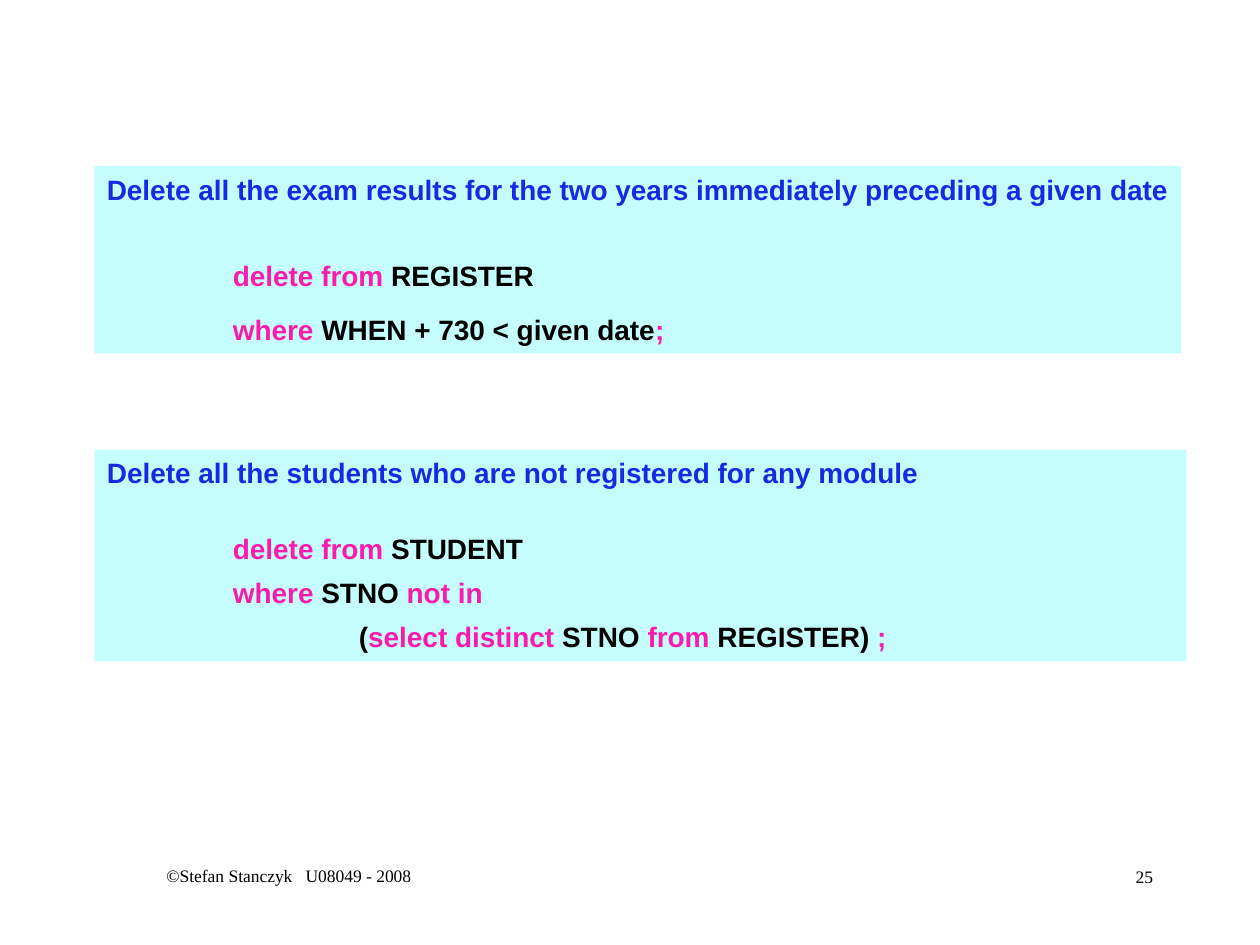
from pptx import Presentation
from pptx.dml.color import RGBColor
from pptx.enum.shapes import MSO_SHAPE
from pptx.enum.text import MSO_ANCHOR, PP_ALIGN
from pptx.util import Pt

RECTANGLE = MSO_SHAPE.RECTANGLE
TOP = MSO_ANCHOR.TOP
LEFT, CENTER, RIGHT = PP_ALIGN.LEFT, PP_ALIGN.CENTER, PP_ALIGN.RIGHT

COLORS = {
    "panel": "C5FDFF",
    "heading": "162AE1",
    "keyword": "FA1BAC",
    "text": "000000",
}
INDENT = 72
BLANK_LINE = 18.4


def rgb(name):
    return RGBColor.from_string(COLORS[name])


def add_run(p, text, color="text", size=16, font="Arial", bold=True):
    r = p.add_run()
    r.text = text
    r.font.size = Pt(size)
    r.font.name = font
    r.font.bold = bold
    r.font.color.rgb = rgb(color)


def add_footer(slide, text, left, top, width, align):
    sp = slide.shapes.add_textbox(Pt(left), Pt(top), Pt(width), Pt(36))
    tf = sp.text_frame
    tf.word_wrap = True
    p = tf.paragraphs[0]
    p.alignment = align
    add_run(p, text, size=10, font="Times New Roman", bold=False)


def add_query_panel(slide, heading, lines, top, width, height, spacing):
    """Draw a heading over SQL lines, each an indent level and (text, color) runs."""
    sp = slide.shapes.add_shape(RECTANGLE, Pt(54), Pt(top), Pt(width), Pt(height))
    sp.shadow.inherit = False
    sp.fill.solid()
    sp.fill.fore_color.rgb = rgb("panel")
    sp.line.fill.background()
    tf = sp.text_frame
    tf.word_wrap = True
    tf.vertical_anchor = TOP
    tf.margin_right = 0
    p = tf.paragraphs[0]
    p.alignment = LEFT
    add_run(p, heading, "heading")
    for i, (level, runs) in enumerate(lines):
        p = tf.add_paragraph()
        p.alignment = LEFT
        p.line_spacing = spacing
        if i == 0:
            p.space_before = Pt(BLANK_LINE)
        p._p.get_or_add_pPr().set("marL", str(Pt(level * INDENT)))
        for text, color in runs:
            add_run(p, text, color)


def main():
    prs = Presentation()
    prs.slide_width, prs.slide_height = Pt(720), Pt(540)
    slide = prs.slides.add_slide(prs.slide_layouts[6])

    add_footer(slide, "©Stefan Stanczyk   U08049 - 2008", 51, 491, 228, CENTER)
    add_footer(slide, "25", 516, 491.5, 150, RIGHT)

    add_query_panel(
        slide,
        "Delete all the exam results for the two years immediately preceding a given date",
        [
            (1, [("delete from", "keyword"), (" REGISTER", "text")]),
            (1, [("where ", "keyword"), ("WHEN + 730 < given date", "text"),
                 (";", "keyword")]),
        ],
        top=95, width=621, height=107, spacing=1.6)
    add_query_panel(
        slide,
        "Delete all the students who are not registered for any module",
        [
            (1, [("delete from", "keyword"), (" STUDENT", "text")]),
            (1, [("where ", "keyword"), ("STNO ", "text"), ("not in", "keyword")]),
            (2, [("(", "text"), ("select distinct", "keyword"), (" STNO ", "text"),
                 ("from ", "keyword"), ("REGISTER) ", "text"), (";", "keyword")]),
        ],
        top=257, width=624, height=121, spacing=1.3)

    prs.save("out.pptx")


if __name__ == "__main__":
    main()
